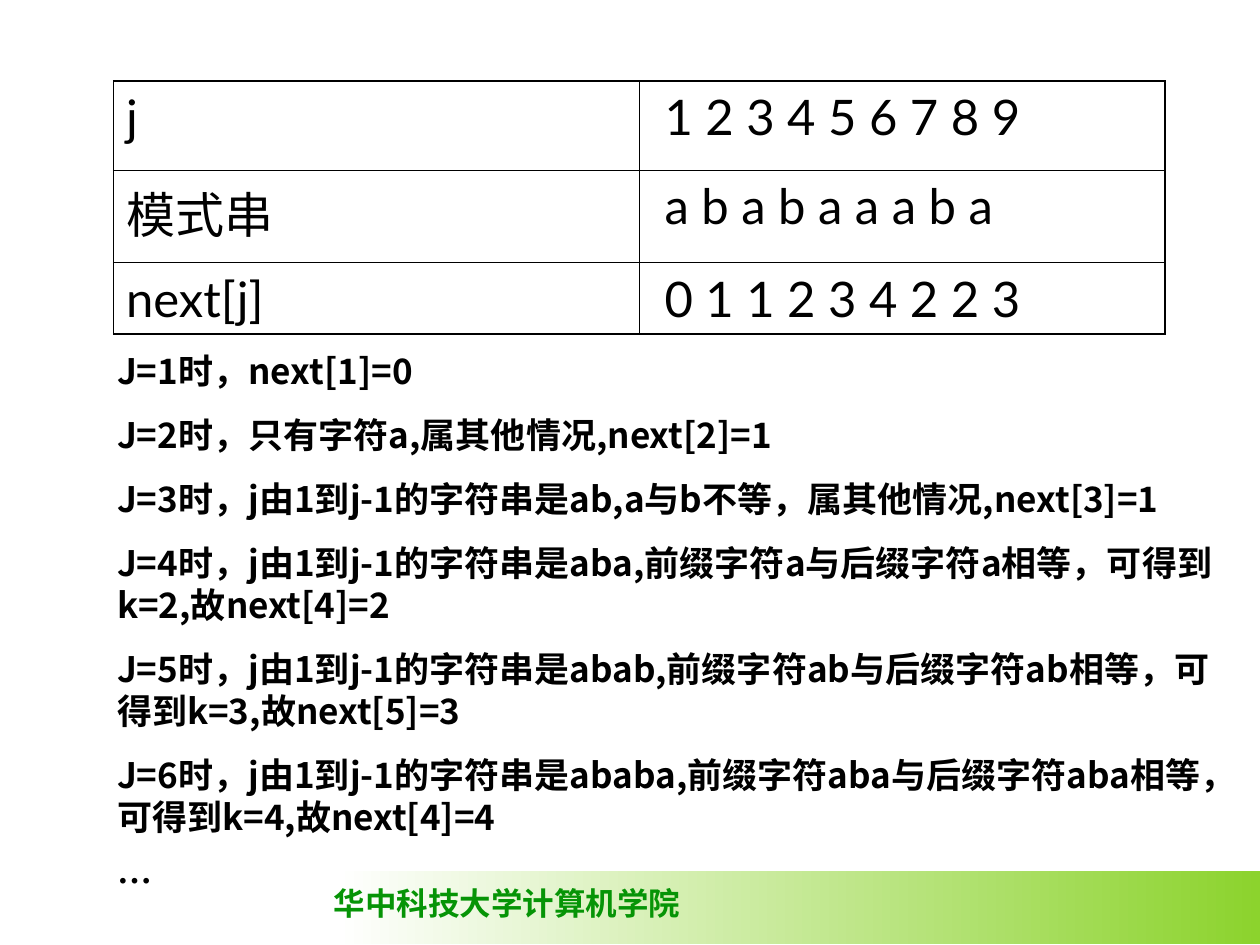
"""Build a slide that derives the KMP next table for a pattern string."""
from dataclasses import dataclass

from lxml import etree
from pptx import Presentation
from pptx.dml.color import RGBColor
from pptx.enum.shapes import MSO_SHAPE
from pptx.enum.text import MSO_ANCHOR
from pptx.oxml.ns import qn
from pptx.slide import Slide
from pptx.text.text import TextFrame
from pptx.util import Cm, Pt

RECTANGLE = MSO_SHAPE.RECTANGLE
TOP = MSO_ANCHOR.TOP
MIDDLE = MSO_ANCHOR.MIDDLE


@dataclass(frozen=True)
class TextStyle:
    font: str
    size: float
    color: str
    bold: bool = False
    east_asian: str = "Noto Sans CJK SC"
    paragraph_gap: float = 0
    line_height: float | None = None


@dataclass(frozen=True)
class Theme:
    band_start: str = "FFFFFF"
    band_end: str = "8CD32D"
    border: str = "000000"
    outer_border: float = 1.08
    inner_border: float = 0.45
    footer: TextStyle = TextStyle("Times New Roman", 18, "069406", True)
    table: TextStyle = TextStyle("Lato", 28, "000000")
    body: TextStyle = TextStyle("Noto Sans CJK SC", 20, "000000", True,
                                paragraph_gap=12.5, line_height=24)


@dataclass(frozen=True)
class Box:
    left: float
    top: float
    width: float
    height: float

    def lengths(self) -> tuple[Cm, Cm, Cm, Cm]:
        return Cm(self.left), Cm(self.top), Cm(self.width), Cm(self.height)


@dataclass(frozen=True)
class TextBlock:
    box: Box
    style: TextStyle
    lines: tuple[str, ...]
    wrap: bool = True
    anchor: MSO_ANCHOR = TOP


@dataclass(frozen=True)
class TableRow:
    height: float
    cells: tuple[str, str]


THEME = Theme()
BAND = Box(6.78, 17.55, 18.62, 1.48)
TABLE_BOX = Box(2.29, 1.63, 21.2, 5.1)
TABLE_ROWS = (
    TableRow(1.8, ("j", " 1 2 3 4 5 6 7 8 9")),
    TableRow(1.86, ("模式串", " a b a b a a a b a")),
    TableRow(1.44, ("next[j]", " 0 1 1 2 3 4 2 2 3")),
)
FOOTER = TextBlock(Box(6.48, 17.7, 7.49, 1.02), THEME.footer,
                   ("华中科技大学计算机学院",), wrap=False, anchor=MIDDLE)
EXPLANATION = TextBlock(Box(2.11, 6.93, 22.6, 12.22), THEME.body, (
    "J=1时，next[1]=0",
    "J=2时，只有字符a,属其他情况,next[2]=1",
    "J=3时，j由1到j-1的字符串是ab,a与b不等，属其他情况,next[3]=1",
    "J=4时，j由1到j-1的字符串是aba,前缀字符a与后缀字符a相等，可得到k=2,故next[4]=2",
    "J=5时，j由1到j-1的字符串是abab,前缀字符ab与后缀字符ab相等，可得到k=3,故next[5]=3",
    "J=6时，j由1到j-1的字符串是ababa,前缀字符aba与后缀字符aba相等，可得到k=4,故next[4]=4",
    "…",
))


def set_attributes(target: object, values: dict[str, object]) -> None:
    for name, value in values.items():
        setattr(target, name, value)


def write_lines(frame: TextFrame, lines: tuple[str, ...], style: TextStyle) -> None:
    for index, line in enumerate(lines):
        paragraph = frame.add_paragraph() if index else frame.paragraphs[0]
        if index:
            paragraph.space_before = Pt(style.paragraph_gap)
        if style.line_height:
            paragraph.line_spacing = Pt(style.line_height)
        run = paragraph.add_run()
        run.text = line
        set_attributes(run.font, {
            "name": style.font, "size": Pt(style.size), "bold": style.bold})
        run.font.color.rgb = RGBColor.from_string(style.color)
        latin = run.font._element.find(qn("a:latin"))
        east_asian = etree.Element(qn("a:ea"), typeface=style.east_asian)
        latin.addnext(east_asian)


def draw_band(slide: Slide) -> None:
    shape = slide.shapes.add_shape(RECTANGLE, *BAND.lengths())
    shape.shadow.inherit = False
    shape.line.fill.background()
    shape.fill.gradient()
    shape.fill.gradient_angle = 0
    colors = (THEME.band_start, THEME.band_end)
    for position, (stop, color) in enumerate(zip(shape.fill.gradient_stops, colors)):
        stop.position = position
        stop.color.rgb = RGBColor.from_string(color)


def draw_text(slide: Slide, block: TextBlock) -> None:
    frame = slide.shapes.add_textbox(*block.box.lengths()).text_frame
    set_attributes(frame, {"word_wrap": block.wrap, "vertical_anchor": block.anchor})
    write_lines(frame, block.lines, block.style)


def add_border(cell_properties: etree._Element, side: str, outer: bool) -> None:
    width = THEME.outer_border if outer else THEME.inner_border
    line = etree.SubElement(cell_properties, qn(f"a:ln{side}"), w=str(Pt(width)))
    fill = etree.SubElement(line, qn("a:solidFill"))
    etree.SubElement(fill, qn("a:srgbClr"), val=THEME.border)


def draw_table(slide: Slide) -> None:
    row_count, column_count = len(TABLE_ROWS), len(TABLE_ROWS[0].cells)
    table = slide.shapes.add_table(
        row_count, column_count, *TABLE_BOX.lengths()).table
    set_attributes(table, {"first_row": False, "horz_banding": False})
    for column in table.columns:
        column.width = Cm(TABLE_BOX.width / column_count)
    for row_index, row in enumerate(TABLE_ROWS):
        table.rows[row_index].height = Cm(row.height)
        for column_index, text in enumerate(row.cells):
            cell = table.cell(row_index, column_index)
            write_lines(cell.text_frame, (text,), THEME.table)
            outer_sides = {
                "L": column_index == 0,
                "R": column_index == column_count - 1,
                "T": row_index == 0,
                "B": row_index == row_count - 1,
            }
            for side, outer in outer_sides.items():
                add_border(cell._tc.get_or_add_tcPr(), side, outer)
            cell.fill.background()


def main() -> None:
    presentation = Presentation()
    set_attributes(presentation, {"slide_width": Cm(25.4), "slide_height": Cm(19.05)})
    slide = presentation.slides.add_slide(presentation.slide_layouts[6])
    draw_band(slide)
    draw_text(slide, FOOTER)
    draw_table(slide)
    draw_text(slide, EXPLANATION)
    presentation.save("out.pptx")


if __name__ == "__main__":
    main()
